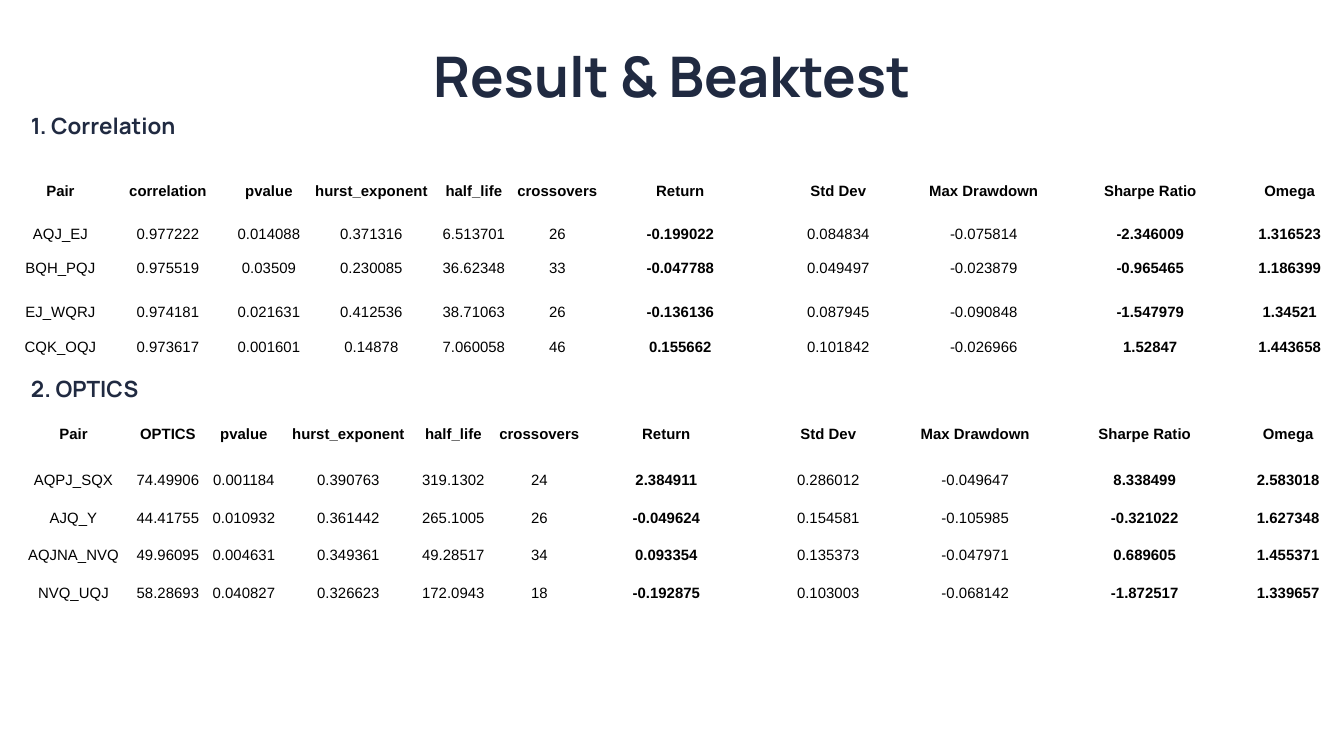
"""Build the slide of pair trading results and backtests."""
from dataclasses import dataclass

from pptx import Presentation
from pptx.dml.color import RGBColor
from pptx.enum.text import MSO_ANCHOR, PP_ALIGN
from pptx.slide import Slide
from pptx.table import _Cell
from pptx.text.text import _Paragraph
from pptx.util import Emu, Pt

SCALE = 9144000 / 1344
COLORS = {"navy": "202A41", "black": "000000"}
BOLD = {6, 9, 10}


@dataclass
class Label:
    text: str
    left: int
    top: int
    width: int
    height: int
    size: int
    align: PP_ALIGN = PP_ALIGN.LEFT


@dataclass
class Grid:
    top: int
    widths: list[int]
    heights: list[int]
    rows: list[str]


LABELS = [
    Label("Result & Beaktest", 294, 29, 756, 85, 30, PP_ALIGN.CENTER),
    Label("1. Correlation", 18, 99, 289, 63, 12),
    Label("2. OPTICS", 18, 362, 289, 63, 12),
]
HEADS = [
    "pvalue", "hurst_exponent", "half_life", "crossovers", "Return",
    "Std Dev", "Max Drawdown", "Sharpe Ratio", "Omega",
]
GRIDS = {
    "correlation": Grid(
        168,
        [87, 128, 74, 131, 74, 93, 153, 163, 128, 205, 74],
        [45, 35, 34, 44, 35],
        [
            "AQJ_EJ 0.977222 0.014088 0.371316 6.513701 26 "
            "-0.199022 0.084834 -0.075814 -2.346009 1.316523",
            "BQH_PQJ 0.975519 0.03509 0.230085 36.62348 33 "
            "-0.047788 0.049497 -0.023879 -0.965465 1.186399",
            "EJ_WQRJ 0.974181 0.021631 0.412536 38.71063 26 "
            "-0.136136 0.087945 -0.090848 -1.547979 1.34521",
            "CQK_OQJ 0.973617 0.001601 0.14878 7.060058 46 "
            "0.155662 0.101842 -0.026966 1.52847 1.443658",
        ],
    ),
    "OPTICS": Grid(
        425,
        [113, 76, 76, 133, 77, 95, 159, 165, 129, 210, 77],
        [30, 38, 38, 37, 38],
        [
            "AQPJ_SQX 74.49906 0.001184 0.390763 319.1302 24 "
            "2.384911 0.286012 -0.049647 8.338499 2.583018",
            "AJQ_Y 44.41755 0.010932 0.361442 265.1005 26 "
            "-0.049624 0.154581 -0.105985 -0.321022 1.627348",
            "AQJNA_NVQ 49.96095 0.004631 0.349361 49.28517 34 "
            "0.093354 0.135373 -0.047971 0.689605 1.455371",
            "NVQ_UQJ 58.28693 0.040827 0.326623 172.0943 18 "
            "-0.192875 0.103003 -0.068142 -1.872517 1.339657",
        ],
    ),
}


def px(size: int) -> Emu:
    """Turn px into EMU."""
    return Emu(round(size * SCALE))


def style(para: _Paragraph, face: str, size: int, color: str, bold: bool) -> None:
    """Format every run of a paragraph."""
    for run in para.runs:
        run.font.name = face
        run.font.size = Pt(size)
        run.font.bold = bold
        run.font.color.rgb = RGBColor.from_string(COLORS[color])


def add_label(slide: Slide, label: Label) -> None:
    """Draw one heading."""
    box = slide.shapes.add_textbox(
        px(label.left), px(label.top), px(label.width), px(label.height))
    frame = box.text_frame
    frame.word_wrap = True
    frame.margin_left = frame.margin_right = px(13)
    frame.margin_top = frame.margin_bottom = px(13)
    frame.text = label.text
    para = frame.paragraphs[0]
    para.alignment = label.align
    style(para, "Manrope", label.size, "navy", True)


def fill_cell(cell: _Cell, text: str, row: int, col: int) -> None:
    """Write and format one table cell."""
    cell.fill.background()
    cell.vertical_anchor = MSO_ANCHOR.BOTTOM
    cell.margin_left = cell.margin_right = px(1)
    cell.margin_top = px(5 if row else 1)
    cell.margin_bottom = px(5 if row else 13)
    cell.text_frame.text = text
    para = cell.text_frame.paragraphs[0]
    para.alignment = PP_ALIGN.CENTER
    if row and col:
        para.line_spacing = 1.15
    style(para, "Arial", 8, "black", row == 0 or col in BOLD)


def add_grid(slide: Slide, name: str, grid: Grid) -> None:
    """Draw one table of results."""
    rows = [["Pair", name, *HEADS], *(line.split() for line in grid.rows)]
    table = slide.shapes.add_table(
        len(rows), len(grid.widths), px(17), px(grid.top),
        px(sum(grid.widths)), px(sum(grid.heights))).table
    table.first_row = table.horz_banding = False
    for col, width in zip(table.columns, grid.widths):
        col.width = px(width)
    for row, height in zip(table.rows, grid.heights):
        row.height = px(height)
    for i, row in enumerate(rows):
        for j, text in enumerate(row):
            fill_cell(table.cell(i, j), text, i, j)


def main() -> None:
    """Build and save the slide."""
    deck = Presentation()
    deck.slide_width, deck.slide_height = px(1344), px(756)
    slide = deck.slides.add_slide(deck.slide_layouts[6])
    for name, grid in GRIDS.items():
        add_grid(slide, name, grid)
    for label in LABELS:
        add_label(slide, label)
    deck.save("out.pptx")


if __name__ == "__main__":
    main()
